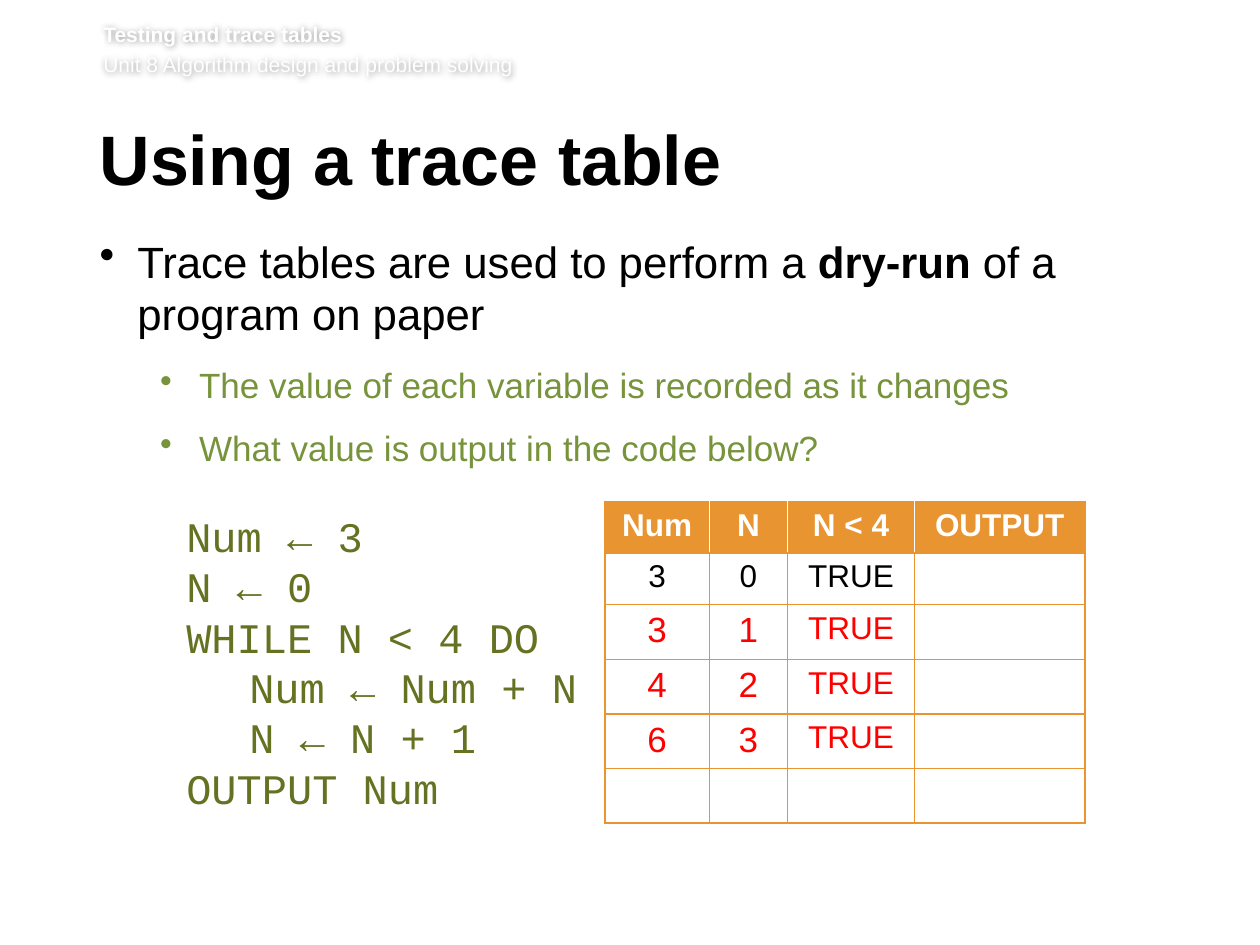
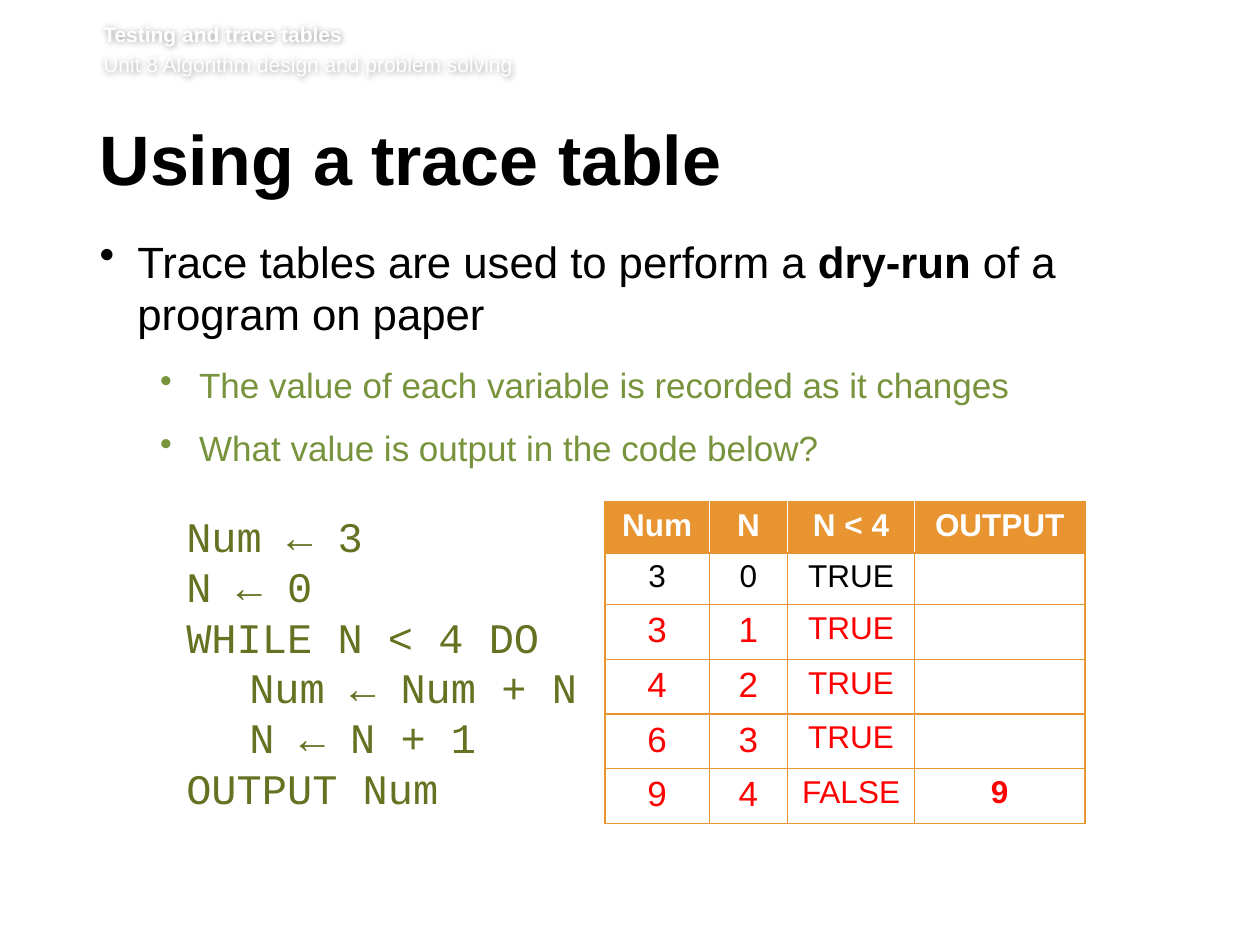
from pptx import Presentation
from pptx.dml.color import RGBColor
from pptx.enum.text import MSO_AUTO_SIZE as AutoSize, PP_ALIGN as Align
from pptx.oxml.ns import qn
from pptx.util import Inches, Pt
from lxml.etree import SubElement

COLOURS = {
    "white": "FFFFFF",
    "black": "000000",
    "green": "77933C",
    "code": "647221",
    "orange": "E89431",
    "red": "FF0000",
}

# Text formats
BANNER = {"name": "Arial", "size": Pt(12), "color": "white", "bold": False}
TITLE = {"name": "Arial", "size": Pt(40), "color": "black", "bold": True}
POINT = {"name": "Arial", "size": Pt(25), "color": "black", "bold": False}
SUBPOINT = {**POINT, "size": Pt(20), "color": "green"}
CODE = {"name": "Courier New", "size": Pt(24), "color": "code"}
CELL = {"name": "Arial", "size": Pt(18), "color": "black", "bold": False}
HEADING = {**CELL, "color": "white", "bold": True}
ANSWER = {**CELL, "color": "red"}
NUMBER = {**ANSWER, "size": Pt(20)}
RESULT = {**ANSWER, "bold": True}

# Slide content
POINTS = [
    (0, [("Trace tables are used to perform a ", False), ("dry-run ", True),
         ("of a program on paper", False)]),
    (1, [("The value of each variable is recorded as it changes", False)]),
    (1, [("What value is output in the code below?", False)]),
]
PROGRAM = ["Num ← 3", "N ← 0", "WHILE N < 4 DO", "\tNum ← Num + N",
           "\tN ← N + 1", "OUTPUT Num"]
TRACE = [
    ["Num", "N", "N < 4", "OUTPUT"],
    ["3", "0", "TRUE", ""],
    ["3", "1", "TRUE", ""],
    ["4", "2", "TRUE", ""],
    ["6", "3", "TRUE", ""],
]
LAST_ROWS = [["", "", "", ""], ["9", "4", "FALSE", "9"]]
BODY_HEIGHTS = [3.78, 4.77]


class TraceDeck:
    def __init__(self):
        self.deck = Presentation()
        self.deck.slide_width, self.deck.slide_height = Inches(10), Inches(7.5)
        self.page = None

    def new_page(self):
        self.page = self.deck.slides.add_slide(self.deck.slide_layouts[6])

    def colour(self, name):
        return RGBColor.from_string(COLOURS[name])

    def style(self, font, look):
        for key, value in look.items():
            if key == "color":
                font.color.rgb = self.colour(value)
            else:
                setattr(font, key, value)

    def add_span(self, para, text, look):
        span = para.add_run()
        span.text = text
        self.style(span.font, look)

    def text_box(self, place, insets):
        box = self.page.shapes.add_textbox(*map(Inches, place))
        frame = box.text_frame
        frame.word_wrap = True
        for side, inset in zip(("left", "top", "right", "bottom"), insets):
            setattr(frame, f"margin_{side}", Inches(inset))
        return box

    def paragraphs(self, box, items):
        frame = box.text_frame
        for index, item in enumerate(items):
            yield (frame.add_paragraph() if index else frame.paragraphs[0]), item

    def banner(self, topic, unit):
        box = self.text_box((0.82, 0.17, 8.82, 0.49), (0, 0, 0, 0.05))
        for para, text in self.paragraphs(box, (topic, unit)):
            para.space_before = Pt(2.9 if text == unit else 0)
            self.add_span(para, text, {**BANNER, "bold": text == topic})
        # Soft shadow behind the white letters
        box.shadow.inherit = False
        effects = box.element.spPr.find(qn("a:effectLst"))
        shadow = SubElement(effects, qn("a:outerShdw"), blurRad=str(Pt(4)), dist="0")
        shade = SubElement(shadow, qn("a:srgbClr"), val=COLOURS["black"])
        SubElement(shade, qn("a:alpha"), val="40000")

    def title(self, text):
        box = self.text_box((0.79, 0.99, 8.55, 0.73), (0, 0.05, 0.1, 0.05))
        para = box.text_frame.paragraphs[0]
        para.line_spacing = Pt(39)
        self.add_span(para, text, TITLE)

    def bullets(self, points, height):
        box = self.text_box((0.79, 1.86, 8.53, height), (0, 0, 0.1, 0.05))
        for para, (level, spans) in self.paragraphs(box, points):
            para.level = level
            para.space_after = Pt(12 if level else 14)
            margin, hang, look = [(0.3, 0.3, POINT), (0.79, 0.31, SUBPOINT)][level]
            props = para._p.get_or_add_pPr()
            props.set("marL", str(Inches(margin)))
            props.set("indent", str(-Inches(hang)))
            SubElement(props, qn("a:buChar"), char="•")
            for text, bold in spans:
                self.add_span(para, text, {**look, "bold": bold})

    def code(self, lines):
        box = self.text_box((1.38, 4, 3.31, 2.52), (0.1, 0.05, 0.1, 0.05))
        box.text_frame.auto_size = AutoSize.SHAPE_TO_FIT_TEXT
        for para, line in self.paragraphs(box, lines):
            tabs = SubElement(para._p.get_or_add_pPr(), qn("a:tabLst"))
            SubElement(tabs, qn("a:tab"), pos=str(Inches(0.5)), algn="l")
            self.add_span(para, line, CODE)

    def cell_look(self, row, column):
        if row == 0:
            return HEADING
        if row == 1:
            return CELL
        return (NUMBER, NUMBER, ANSWER, RESULT)[column]

    def borders(self, cell, sides):
        props = cell._tc.get_or_add_tcPr()
        for index, (side, name) in enumerate(sides.items()):
            line = SubElement(props, qn(f"a:ln{side}"), w=str(Pt(1)))
            fill = SubElement(line, qn("a:solidFill"))
            SubElement(fill, qn("a:srgbClr"), val=COLOURS[name])
            props.insert(index, line)

    def trace_table(self, rows):
        widths = (0.83, 0.62, 1.01, 1.35)
        heights = [0.41] * 2 + [0.43] * (len(rows) - 2)
        place = map(Inches, (4.8, 3.98, sum(widths), sum(heights)))
        table = self.page.shapes.add_table(len(rows), len(widths), *place).table
        table.first_row = table.horz_banding = False
        for column, width in zip(table.columns, widths):
            column.width = Inches(width)
        last = len(widths) - 1
        for r, texts in enumerate(rows):
            table.rows[r].height = Inches(heights[r])
            inner = "orange" if r else "white"
            for c, text in enumerate(texts):
                cell = table.cell(r, c)
                cell.fill.solid()
                cell.fill.fore_color.rgb = self.colour("white" if r else "orange")
                self.borders(cell, {"L": inner if c else "orange",
                                    "R": inner if c < last else "orange",
                                    "T": "orange", "B": "orange"})
                para = cell.text_frame.paragraphs[0]
                para.alignment = Align.CENTER
                if text:
                    self.add_span(para, text, self.cell_look(r, c))


def main():
    show = TraceDeck()
    for last_row, body_height in zip(LAST_ROWS, BODY_HEIGHTS):
        show.new_page()
        show.banner("Testing and trace tables",
                    "Unit 8 Algorithm design and problem solving")
        show.title("Using a trace table")
        show.bullets(POINTS, body_height)
        show.code(PROGRAM)
        show.trace_table(TRACE + [last_row])
    show.deck.save("out.pptx")


if __name__ == "__main__":
    main()
